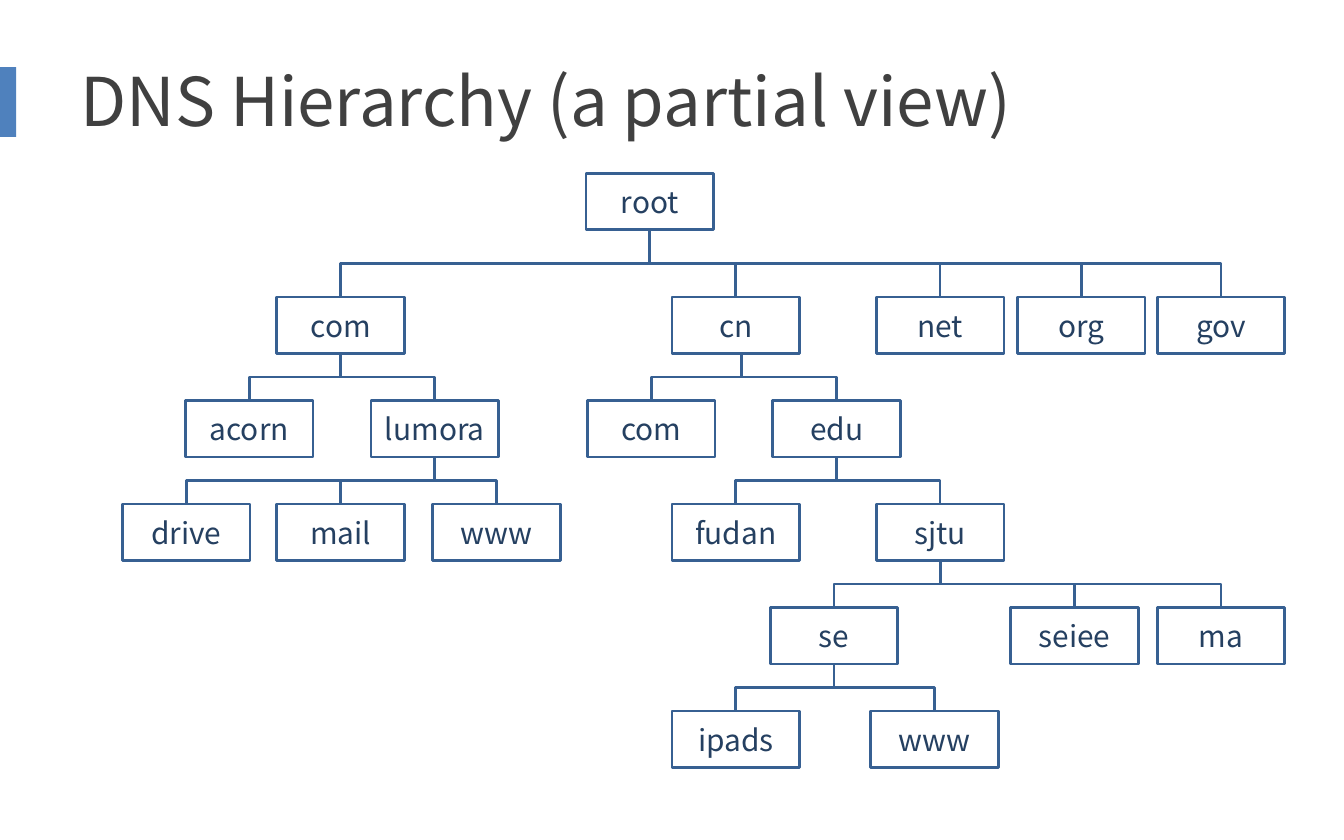
from lxml.etree import SubElement
from pptx import Presentation
from pptx.dml.color import RGBColor
from pptx.enum.shapes import MSO_CONNECTOR, MSO_SHAPE
from pptx.enum.text import MSO_ANCHOR, PP_ALIGN
from pptx.oxml.ns import qn
from pptx.util import Inches, Pt

FONT = "Noto Sans CJK SC"
WHITE = RGBColor(0xFF, 0xFF, 0xFF)
BLUE = RGBColor(0x4F, 0x81, 0xBD)
EDGE = RGBColor(0x37, 0x60, 0x92)
NAVY = RGBColor(0x25, 0x40, 0x61)
GREY = RGBColor(0x40, 0x40, 0x40)

deck = Presentation()
deck.slide_width, deck.slide_height = Inches(10), Inches(6.25)
W, H = deck.slide_width, deck.slide_height
slide = deck.slides.add_slide(deck.slide_layouts[6])
shapes = slide.shapes


def write(frame, text, size, color, align):
    frame.word_wrap = True
    frame.vertical_anchor = MSO_ANCHOR.MIDDLE
    para = frame.paragraphs[0]
    para.alignment = align
    run = para.add_run()
    run.text = text
    run.font.name = FONT
    run.font.size = Pt(size)
    run.font.color.rgb = color


# Title with its accent bar
bar = shapes.add_shape(MSO_SHAPE.RECTANGLE, 0, int(H * 0.08), int(W * 0.012), int(H * 0.083))
bar.shadow.inherit = False
bar.fill.solid()
bar.fill.fore_color.rgb = BLUE
bar.line.fill.background()
title = shapes.add_textbox(int(W * 0.05), int(H * 0.04), int(W * 0.9), int(H * 0.157))
write(title.text_frame, "DNS Hierarchy (a partial view)", 36, GREY, PP_ALIGN.LEFT)

# Each node: key, label, left edge in percent of the width, level, parent key
NODES = [
    ("root", "root", 43.6, 0, None),
    ("com", "com", 20.6, 1, "root"),
    ("cn", "cn", 50, 1, "root"),
    ("net", "net", 65.2, 1, "root"),
    ("org", "org", 75.7, 1, "root"),
    ("gov", "gov", 86.1, 1, "root"),
    ("acorn", "acorn", 13.8, 2, "com"),
    ("lumora", "lumora", 27.6, 2, "com"),
    ("com.cn", "com", 43.7, 2, "cn"),
    ("edu", "edu", 57.5, 2, "cn"),
    ("drive", "drive", 9.1, 3, "lumora"),
    ("mail", "mail", 20.6, 3, "lumora"),
    ("www", "www", 32.2, 3, "lumora"),
    ("fudan", "fudan", 50, 3, "edu"),
    ("sjtu", "sjtu", 65.2, 3, "edu"),
    ("se", "se", 57.3, 4, "sjtu"),
    ("seiee", "seiee", 75.2, 4, "sjtu"),
    ("ma", "ma", 86.1, 4, "sjtu"),
    ("ipads", "ipads", 50, 5, "se"),
    ("www.se", "www", 64.8, 5, "se"),
]
ROOT_TOP, TOP, PITCH = Inches(1.29), Inches(2.21), Inches(0.77)
BOX_W, BOX_H = Inches(0.95), Inches(0.42)
SHIFT = {"cn": Inches(0.04)}  # branch starts right of the box middle

boxes = {}
for key, label, left, level, parent in NODES:
    top = TOP + (level - 1) * PITCH if level else ROOT_TOP
    box = shapes.add_shape(MSO_SHAPE.RECTANGLE, int(W * left / 100), top, BOX_W, BOX_H)
    box.shadow.inherit = False
    box.fill.solid()
    box.fill.fore_color.rgb = WHITE
    box.line.color.rgb = EDGE
    box.line.width = Pt(1.5)
    frame = box.text_frame
    frame.margin_left = frame.margin_right = 0
    write(frame, label, 16, NAVY, PP_ALIGN.CENTER)
    boxes[key] = box

# Elbows leave downwards: a quarter turn of the sideways elbow
for key, label, left, level, parent in NODES:
    if parent is None:
        continue
    child, above = boxes[key], boxes[parent]
    x1 = above.left + BOX_W // 2 + SHIFT.get(parent, 0)
    x2 = child.left + BOX_W // 2
    y1, y2 = above.top + BOX_H, child.top
    mid_x, mid_y = (x1 + x2) // 2, (y1 + y2) // 2
    span, drop = abs(x2 - x1) // 2, (y2 - y1) // 2
    side = 1 if x2 > x1 else -1
    link = shapes.add_connector(MSO_CONNECTOR.ELBOW, x1, y1, x2, y2)
    if parent not in SHIFT:
        link.begin_connect(above, 2)
    link.end_connect(child, 0)
    link.begin_x, link.end_x = mid_x + side * drop, mid_x - side * drop
    link.begin_y, link.end_y = mid_y - span, mid_y + span
    link.line.color.rgb = EDGE
    link.line.width = Pt(1.5)
    props = link._element.spPr
    props.find(qn("a:xfrm")).set("rot", str((270 if side > 0 else 90) * 60000))
    SubElement(props, qn("a:effectLst"))

deck.save("out.pptx")
